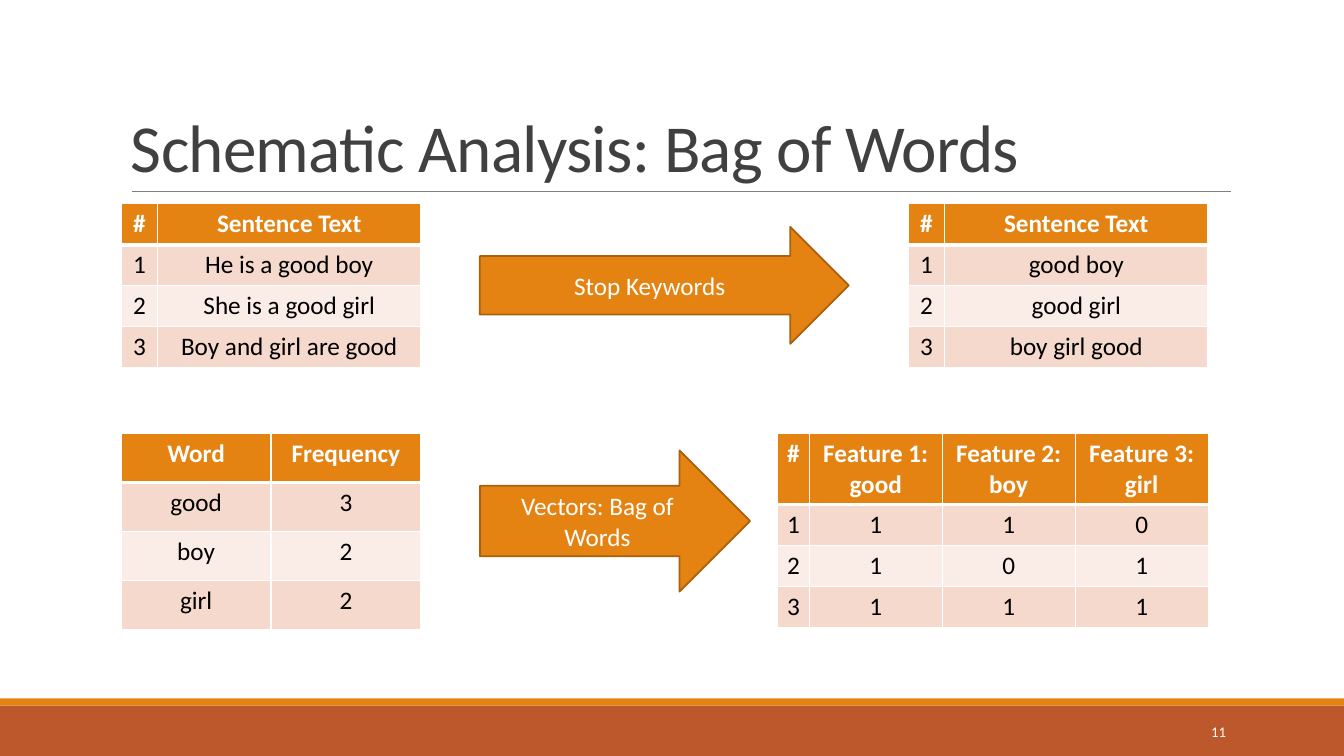
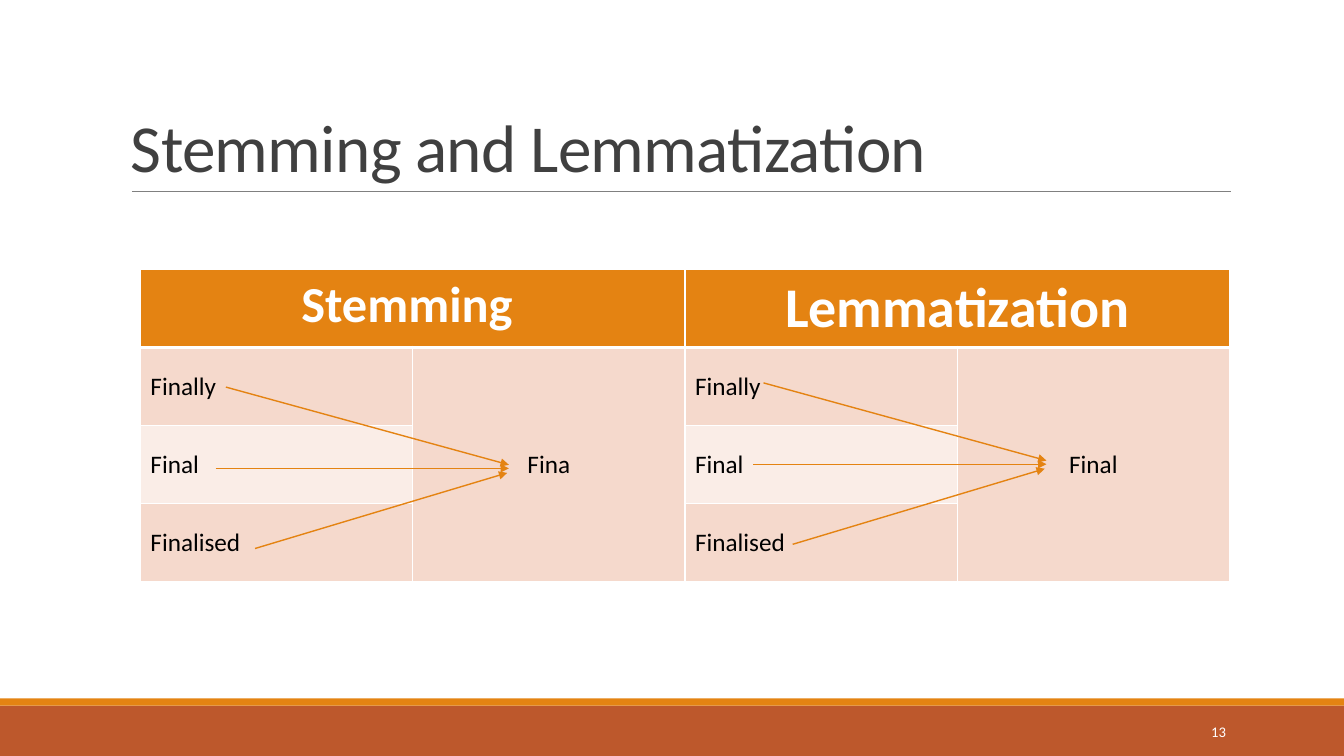
import pptx
import pptx.dml.color
import pptx.enum.shapes
import pptx.enum.text
import pptx.oxml.ns
import pptx.util
from lxml import etree

Pt = pptx.util.Pt
rgb = pptx.dml.color.RGBColor.from_string
qn = pptx.oxml.ns.qn
SHAPE = pptx.enum.shapes.MSO_SHAPE
ALIGN = pptx.enum.text.PP_ALIGN
ANCHOR = pptx.enum.text.MSO_ANCHOR

ORANGE, RUST, WHITE, BLACK = "E48312", "BD582C", "FFFFFF", "000000"
DARK_ORANGE, TITLE_GREY, RULE_GREY = "A9610D", "404040", "808080"
ROW_FILLS = [ORANGE, "F5D9CC", "FAEDE7", "F5D9CC"]


def write(frame, text, size, colour, align, bold=False):
    """Put one formatted run in the first paragraph and return the run."""
    frame.word_wrap = True
    para = frame.paragraphs[0]
    para.alignment = align
    span = para.add_run()
    span.text = text
    span.font.name = "Calibri"
    span.font.size = Pt(size)
    span.font.bold = bold
    span.font.color.rgb = rgb(colour)
    return span


def draw_line(page, start, end, colour, width, arrow=False):
    line = page.shapes.add_connector(
        pptx.enum.shapes.MSO_CONNECTOR.STRAIGHT, *map(Pt, start + end))
    line.line.color.rgb = rgb(colour)
    line.line.width = Pt(width)
    properties = line.element.spPr
    if arrow:
        etree.SubElement(properties.find(qn("a:ln")), qn("a:tailEnd"), type="triangle")
    etree.SubElement(properties, qn("a:effectLst"))


deck = pptx.Presentation()
deck.slide_width, deck.slide_height = Pt(960), Pt(540)

# Shared frame: bands, title, rule and page number
pages = []
for title, number in [("Schematic Analysis: Bag of Words", "11"),
                      ("Stemming and Lemmatization", "13")]:
    page = deck.slides.add_slide(deck.slide_layouts[6])
    pages.append(page)
    for top, height, colour in [(504, 36, RUST), (498.8, 5.2, ORANGE)]:
        band = page.shapes.add_shape(SHAPE.RECTANGLE, 0, Pt(top), Pt(960), Pt(height))
        band.shadow.inherit = False
        band.fill.solid()
        band.fill.fore_color.rgb = rgb(colour)
        band.line.fill.background()
    draw_line(page, (94.3, 136.8), (879.1, 136.8), RULE_GREY, 0.5)

    box = page.shapes.add_textbox(Pt(86.4), Pt(22.3), Pt(792), Pt(114.5))
    box.text_frame.vertical_anchor = ANCHOR.BOTTOM
    span = write(box.text_frame, title, 48, TITLE_GREY, ALIGN.LEFT)
    span.font._element.set("spc", "-50")
    box.text_frame.paragraphs[0].line_spacing = 0.85

    box = page.shapes.add_textbox(Pt(779.8), Pt(508.3), Pt(103), Pt(28.8))
    box.text_frame.vertical_anchor = ANCHOR.MIDDLE
    write(box.text_frame, number, 10.5, WHITE, ALIGN.RIGHT)

words_page, stemming_page = pages

# Tables: page, left, top, column widths, header height, row height, rows
LEFT, UPPER, LOWER = 86.6, 145.6, 309.6
tables = [
    (words_page, LEFT, UPPER, [26, 188], 29.2, 29.2, [
        ["#", "Sentence Text"], ["1", "He is a good boy"],
        ["2", "She is a good girl"], ["3", "Boy and girl are good"]]),
    (words_page, 648.8, UPPER, [26, 188], 29.2, 29.2, [
        ["#", "Sentence Text"], ["1", "good boy"],
        ["2", "good girl"], ["3", "boy girl good"]]),
    (words_page, LEFT, LOWER, [107, 107], 35, 35, [
        ["Word", "Frequency"], ["good", "3"], ["boy", "2"], ["girl", "2"]]),
    (words_page, 555, LOWER, [23, 95, 95, 95], 50.8, 29.2, [
        ["#", "Feature 1: good", "Feature 2: boy", "Feature 3: girl"],
        ["1", "1", "1", "0"], ["2", "1", "0", "1"], ["3", "1", "1", "1"]]),
    (stemming_page, 100.3, 192.4, [194.5] * 4, 55.8, 55.8, [
        ["Stemming ", None, "Lemmatization", None],
        ["Finally", "Fina", "Finally", "Final"],
        ["Final", None, "Final", None],
        ["Finalised", None, "Finalised", None]]),
]
for page, left, top, widths, header_height, row_height, rows in tables:
    heights = [header_height] + [row_height] * (len(rows) - 1)
    table = page.shapes.add_table(
        len(rows), len(widths), Pt(left), Pt(top), Pt(sum(widths)), Pt(sum(heights))).table
    table.first_row = table.horz_banding = False
    for column, width in zip(table.columns, widths):
        column.width = Pt(width)
    for r, texts in enumerate(rows):
        table.rows[r].height = Pt(heights[r])
        for c, text in enumerate(texts):
            cell = table.cell(r, c)
            properties = cell._tc.get_or_add_tcPr()
            for side in "LRTB":
                thick = (r, side) in [(0, "B"), (1, "T")]
                border = etree.SubElement(
                    properties, qn(f"a:ln{side}"), w=str(Pt(3 if thick else 1)))
                paint = etree.SubElement(border, qn("a:solidFill"))
                etree.SubElement(paint, qn("a:srgbClr"), val=WHITE)
            cell.fill.solid()
            cell.fill.fore_color.rgb = rgb(ROW_FILLS[r])
            if text:
                write(cell.text_frame, text, 18, BLACK if r else WHITE,
                      ALIGN.CENTER, bold=r == 0)

# Block arrows between the tables
for label, top, width, height in [("Stop Keywords", 162, 263.5, 83.6),
                                  ("Vectors: Bag of Words", 321.8, 193, 100.8)]:
    arrow = words_page.shapes.add_shape(
        SHAPE.RIGHT_ARROW, Pt(342.8), Pt(top), Pt(width), Pt(height))
    arrow.shadow.inherit = False
    arrow.fill.solid()
    arrow.fill.fore_color.rgb = rgb(ORANGE)
    arrow.line.color.rgb = rgb(DARK_ORANGE)
    arrow.line.width = Pt(1.25)
    arrow.text_frame.vertical_anchor = ANCHOR.MIDDLE
    write(arrow.text_frame, label, 18, WHITE, ALIGN.CENTER)

# Each half of the stemming table: merged header, word forms, merged result
for first, header_size, dx, dy in [(0, 36, 0, 0), (2, 40, 384, -3)]:
    header = table.cell(0, first)
    header.merge(table.cell(0, first + 1))
    header.text_frame.paragraphs[0].runs[0].font.size = Pt(header_size)
    result = table.cell(1, first + 1)
    result.merge(table.cell(3, first + 1))
    result.vertical_anchor = ANCHOR.MIDDLE
    for r in range(1, 4):
        form = table.cell(r, first)
        form.vertical_anchor = ANCHOR.MIDDLE
        form.text_frame.paragraphs[0].alignment = ALIGN.LEFT
    for x1, y1, x2, y2 in [(161.4, 276.5, 363.5, 332), (182.2, 391.8, 362.3, 337.8),
                           (154, 334.6, 363.5, 334.6)]:
        draw_line(stemming_page, (x1 + dx, y1 + dy), (x2 + dx, y2 + dy), ORANGE, 1, arrow=True)

deck.save("out.pptx")
